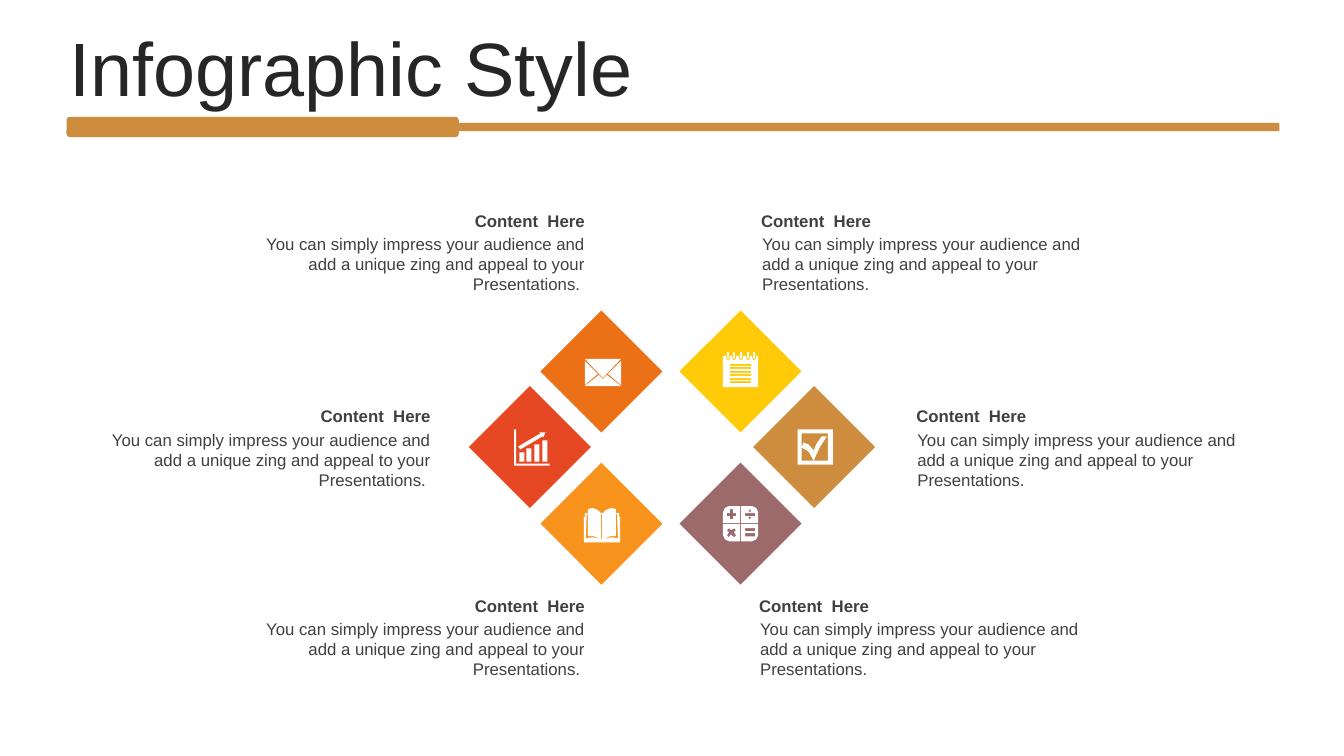
from pptx import Presentation
from pptx.dml.color import RGBColor
from pptx.enum.shapes import MSO_SHAPE as Shape
from pptx.enum.text import MSO_ANCHOR as Anchor, PP_ALIGN as Align
from pptx.util import Pt

PX = 9144  # one hundredth of an inch

WHITE = RGBColor(0xFF, 0xFF, 0xFF)
DARK = RGBColor(0x26, 0x26, 0x26)
GREY = RGBColor(0x40, 0x40, 0x40)
TAN = RGBColor(0xCE, 0x8D, 0x3E)
ORANGE = RGBColor(0xEC, 0x70, 0x16)
YELLOW = RGBColor(0xFF, 0xCA, 0x08)
MAUVE = RGBColor(0x9C, 0x6A, 0x6A)
AMBER = RGBColor(0xF8, 0x93, 0x1D)
RED = RGBColor(0xE6, 0x48, 0x23)

HEAD = "Content  Here"
BODY = ("You can simply impress your audience and add a unique zing "
        "and appeal to your Presentations.")


# Outlines of the icons, as lists of polygons; inner ones cut holes
def rect(x, y, w, h):
    return [(x, y), (x + w, y), (x + w, y + h), (x, y + h)]


def flip(points, w):
    return [(w - x, y) for x, y in points]


def turn(points, h):
    return [(x, h - y) for x, y in points]


def mail():
    side = [(0, 2), (13, 15), (0, 26)]
    return [[(22, 16), (36, 27), (0, 27), (14, 16), (18, 20)],
            side, flip(side, 36), [(0, 0), (36, 0), (18, 19)]]


def note():
    rings = (5, 11, 18, 25, 31)
    page = [(0, 4)]
    for x in rings:
        page += [(x - 2, 4), (x - 2, 6), (x - 1, 8),
                 (x + 1, 8), (x + 2, 6), (x + 2, 4)]
    page += [(35, 4), (35, 35), (0, 35)]
    loops = [[(x - 1, 1), (x, 0), (x + 1, 1), (x + 1, 6), (x, 7), (x - 1, 6)]
             for x in rings]
    lines = [rect(7, 12 + 7 * i // 2, 21, 2) for i in range(6)]
    return [page] + loops + lines


def chart():
    bars = [rect(x, y, 5, 32 - y)
            for x, y in ((5, 23), (12, 19), (20, 15), (28, 11))]
    arrow = [(25, 3), (31, 3), (29, 8), (28, 7), (6, 20), (4, 17), (26, 4)]
    axis = [(0, 0), (2, 0), (2, 34), (35, 34), (35, 36), (0, 36)]
    return bars + [arrow, axis]


def calc():
    key = [(6, 0), (17, 0), (17, 17), (0, 17), (0, 6), (2, 2)]
    low = turn(key, 35)
    plus = [(7, 3), (10, 3), (10, 7), (13, 7), (13, 10), (10, 10),
            (10, 13), (7, 13), (7, 10), (4, 10), (4, 7), (7, 7)]
    times = [(6, 22), (4, 24), (6, 26), (4, 29), (6, 31), (8, 28),
             (11, 31), (13, 29), (11, 26), (13, 24), (11, 22), (8, 24)]
    dots = [[(25, y + 2), (27, y), (28, y + 2), (27, y + 3)] for y in (3, 10)]
    bars = [rect(22, y, 10, 3) for y in (7, 22, 27)]
    return [key, flip(key, 35), low, flip(low, 35), plus, times] + dots + bars


def book():
    half = [(0, 34), (0, 9), (1, 9), (1, 5), (4, 5), (4, 1),
            (9, 0), (14, 2), (17, 5)]
    fold = [(3, 6), (4, 6), (4, 28), (10, 28), (17, 31), (9, 29), (2, 30)]
    return [half + flip(half, 36)[::-1], fold, flip(fold, 36),
            rect(17, 6, 1, 25)]


def check():
    tick = [(4, 18), (6, 13), (11, 15), (16, 21), (19, 14),
            (24, 7), (29, 7), (22, 18), (16, 31), (11, 22)]
    return [rect(0, 0, 35, 35), rect(4, 4, 26, 27), tick]


# Basic parts
def paint(shape, color):
    shape.shadow.inherit = False
    shape.fill.solid()
    shape.fill.fore_color.rgb = color
    shape.line.fill.background()


def block(slide, kind, box, color):
    shape = slide.shapes.add_shape(kind, *(n * PX for n in box))
    paint(shape, color)


def label(slide, box, text, size, color, align=Align.LEFT,
          anchor=Anchor.TOP, bold=False):
    frame = slide.shapes.add_textbox(*(n * PX for n in box)).text_frame
    frame.word_wrap = True
    frame.vertical_anchor = anchor
    para = frame.paragraphs[0]
    para.text = text
    para.alignment = align
    font = para.font
    font.name, font.size, font.bold = "Arial", Pt(size), bold
    font.color.rgb = color
    return para


def icon(slide, x, y, loops):
    first, *rest = loops
    pen = slide.shapes.build_freeform(*first[0], scale=PX)
    pen.add_line_segments(first[1:], close=True)
    for loop in rest:
        pen.move_to(*loop[0])
        pen.add_line_segments(loop[1:], close=True)
    paint(pen.convert_to_shape(x * PX, y * PX), WHITE)


# Regions
def title(slide, x, y):
    block(slide, Shape.RECTANGLE, (x + 230, y + 90, 980, 8), TAN)
    block(slide, Shape.ROUNDED_RECTANGLE, (x + 7, y + 84, 389, 20), TAN)
    para = label(slide, (x, y, 1217, 79), "Infographic Style", 54, DARK,
                 anchor=Anchor.MIDDLE)
    para.line_spacing = 0.9


def tile(slide, x, y, color, draw, dx, dy):
    block(slide, Shape.DIAMOND, (x, y, 121, 121), color)
    icon(slide, x + dx, y + dy, draw())


def entry(slide, x, y, align):
    label(slide, (x, y, 353, 30), HEAD, 12, GREY, align, Anchor.MIDDLE, True)
    tail = " " if align == Align.RIGHT else ""
    label(slide, (x + 1, y + 23, 352, 71), BODY + tail, 12, GREY, align)


def main():
    deck = Presentation()
    deck.slide_width, deck.slide_height = 1333 * PX, 750 * PX
    slide = deck.slides.add_slide(deck.slide_layouts[6])
    title(slide, 59, 32)

    # Ring of diamonds
    top, mid, low = 308, 383, 459
    for args in ((536, top, ORANGE, mail, 44, 48),
                 (674, top, YELLOW, note, 43, 41),
                 (747, mid, TAN, check, 44, 43),
                 (674, low, MAUVE, calc, 43, 43),
                 (536, low, AMBER, book, 43, 45),
                 (465, mid, RED, chart, 45, 43)):
        tile(slide, *args)

    # Texts on both sides
    for y, left, right in ((204, 237, 745), (398, 84, 899), (586, 237, 743)):
        entry(slide, left, y, Align.RIGHT)
        entry(slide, right, y, Align.LEFT)
    deck.save("out.pptx")


if __name__ == "__main__":
    main()
